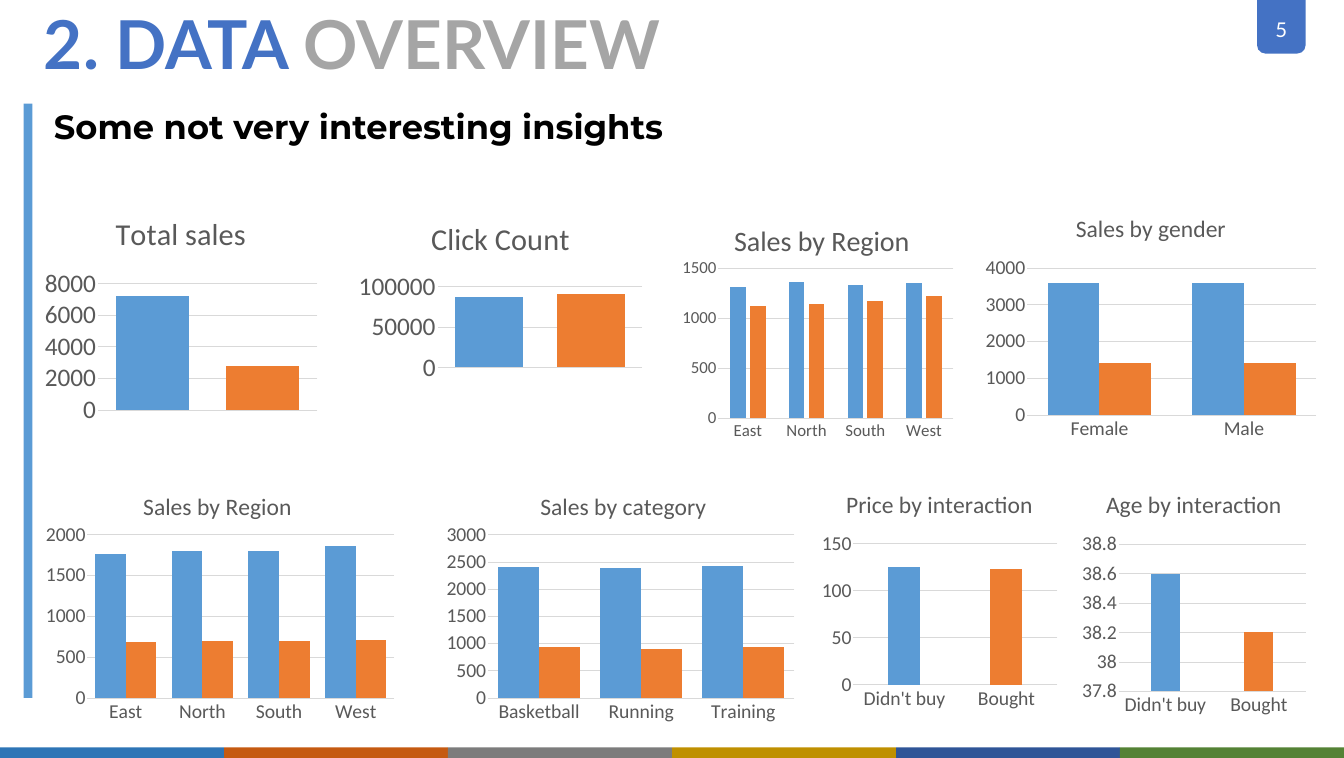
from typing import NamedTuple, Optional

from lxml.etree import SubElement
from pptx import Presentation
from pptx.chart.data import CategoryChartData
from pptx.dml.color import RGBColor
from pptx.enum.chart import XL_CHART_TYPE, XL_TICK_MARK
from pptx.enum.shapes import MSO_SHAPE
from pptx.enum.text import MSO_ANCHOR, MSO_AUTO_SIZE, PP_ALIGN
from pptx.oxml import parse_xml
from pptx.oxml.ns import nsdecls, qn
from pptx.util import Inches, Pt

SLIDE_W, SLIDE_H = 26.6, 15
BLUE = RGBColor(0x5B, 0x9B, 0xD5)
ORANGE = RGBColor(0xED, 0x7D, 0x31)
TITLE_BLUE = RGBColor(0x44, 0x72, 0xC4)
TITLE_GRAY = RGBColor(0xA5, 0xA5, 0xA5)
TEXT_GRAY = RGBColor(0x59, 0x59, 0x59)
GRID = RGBColor(0xD9, 0xD9, 0xD9)
BLACK = RGBColor(0, 0, 0)
WHITE = RGBColor(0xFF, 0xFF, 0xFF)
STRIPES = [RGBColor(0x2E, 0x75, 0xB6), RGBColor(0xC5, 0x5A, 0x11),
           RGBColor(0x7C, 0x7C, 0x7C), RGBColor(0xBF, 0x90, 0x00),
           RGBColor(0x2F, 0x55, 0x97), RGBColor(0x54, 0x82, 0x35)]
Box = tuple[float, float, float, float]


class Panel(NamedTuple):
    title: str
    at: Box
    plot: Box  # inner plot area, in slide inches
    cats: list[str]
    series: list[list[float]]
    scale: tuple[float, float, float]  # minimum, maximum, major unit
    gap: int = 50
    overlap: int = 0
    size: float = 28
    title_size: float = 33.6
    title_at: Optional[tuple[float, float]] = None  # left, top in slide inches
    show_cats: bool = True


REGIONS = ["East", "North", "South", "West"]
OUTCOMES = ["Didn't buy", "Bought"]
PANELS = [
    Panel("Total sales", (0.77, 3.97, 5.62, 4.54), (1.94, 5.61, 4.34, 2.5),
          ["1", "2"], [[7200, 2800]], (0, 8000, 2000), overlap=-49,
          size=36, title_size=43.2, show_cats=False),
    Panel("Click Count", (6.99, 4.07, 5.83, 3.59), (8.66, 5.67, 4.05, 1.6),
          ["1", "2"], [[87000, 91000]], (0, 100000, 50000), overlap=-27,
          size=36, title_size=43.2, show_cats=False),
    Panel("Sales by Region", (13.39, 4.09, 5.58, 4.73), (14.22, 5.3, 4.65, 2.98),
          REGIONS, [[1310, 1360, 1330, 1350], [1120, 1140, 1170, 1220]],
          (0, 1500, 500), gap=150, overlap=-27, size=24, title_size=40,
          title_at=(14.43, 4.29)),
    Panel("Sales by gender", (19.37, 3.97, 6.82, 4.86), (20.33, 5.3, 5.72, 2.91),
          ["Female", "Male"], [[3600, 3600], [1400, 1400]],
          (0, 4000, 1000), gap=80),
    Panel("Sales by Region", (0.77, 9.42, 7.17, 5.01), (1.73, 10.58, 6.07, 3.23),
          REGIONS, [[1760, 1800, 1800, 1860], [680, 690, 700, 710]],
          (0, 2000, 500), title_at=(2.75, 9.62)),
    Panel("Sales by category", (8.69, 9.42, 7.17, 5.01), (9.66, 10.58, 6.06, 3.23),
          ["Basketball", "Running", "Training"],
          [[2400, 2390, 2430], [930, 900, 940]], (0, 3000, 500),
          title_at=(10.61, 9.62)),
    Panel("Price by interaction", (16.16, 9.42, 4.87, 4.73), (16.89, 10.76, 4.04, 2.79),
          OUTCOMES, [[125, 123]], (0, 150, 50), gap=219, overlap=-27),
    Panel("Age by interaction", (21.32, 9.43, 4.62, 4.86), (22.14, 10.77, 3.7, 2.91),
          OUTCOMES, [[38.6, 38.2]], (37.8, 38.8, 0.2), gap=219, overlap=-27),
]


def inches(box: Box) -> list[int]:
    return [Inches(v) for v in box]


def style_font(font, size: float, color: RGBColor, name: str = "Calibri",
               bold: bool = False) -> None:
    font.size, font.name, font.bold = Pt(size), name, bold
    font.color.rgb = color


def add_run(p, text: str, *, size: float, color: RGBColor, font: str,
            bold: bool = False) -> None:
    r = p.add_run()
    r.text = text
    style_font(r.font, size, color, font, bold)


def add_block(slide, box: Box, color: RGBColor, kind=MSO_SHAPE.RECTANGLE):
    s = slide.shapes.add_shape(kind, *inches(box))
    s.shadow.inherit = False
    s.fill.solid()
    s.fill.fore_color.rgb = color
    s.line.fill.background()
    return s


def set_layout(parent, index: int, values: dict[str, object]) -> None:
    """Give a chart part a manual layout, as its child at the index."""
    for old in parent.findall(qn("c:layout")):
        parent.remove(old)
    layout = parse_xml(f"<c:layout {nsdecls('c')}/>")
    manual = SubElement(layout, qn("c:manualLayout"))
    for tag, value in values.items():
        SubElement(manual, qn(f"c:{tag}")).set("val", str(value))
    parent.insert(index, layout)


def place_parts(chart, panel: Panel) -> None:
    """Pin the plot area, and the title if it has a place, in the frame."""
    left, top, width, height = panel.at
    x, y, w, h = panel.plot
    edges = {"xMode": "edge", "yMode": "edge"}
    c = chart._chartSpace.chart
    set_layout(c.plotArea, 0, {"layoutTarget": "inner", **edges,
                               "x": (x - left) / width, "y": (y - top) / height,
                               "w": w / width, "h": h / height})
    if panel.title_at:
        x, y = panel.title_at
        set_layout(c.find(qn("c:title")), 1,
                   {**edges, "x": (x - left) / width, "y": (y - top) / height})


def style_axis(axis, size: float, line: Optional[RGBColor] = None) -> None:
    axis.major_tick_mark = axis.minor_tick_mark = XL_TICK_MARK.NONE
    style_font(axis.tick_labels.font, size, TEXT_GRAY)
    if line is None:
        axis.format.line.fill.background()
    else:
        axis.format.line.color.rgb = line
        axis.format.line.width = Pt(0.75)


def add_panel(slide, panel: Panel) -> None:
    data = CategoryChartData()
    data.categories = panel.cats
    for i, values in enumerate(panel.series, 1):
        data.add_series(f"Series {i}", values)
    chart = slide.shapes.add_chart(XL_CHART_TYPE.COLUMN_CLUSTERED,
                                   *inches(panel.at), data).chart
    style_font(chart.font, panel.size, BLACK)
    chart.has_legend = False
    chart.has_title = True
    add_run(chart.chart_title.text_frame.paragraphs[0], panel.title,
            size=panel.title_size, color=TEXT_GRAY, font="Calibri")
    chart.chart_title.include_in_layout = False

    style_axis(chart.category_axis, panel.size, GRID)
    chart.category_axis.visible = panel.show_cats
    axis = chart.value_axis
    style_axis(axis, panel.size)
    axis.minimum_scale, axis.maximum_scale, axis.major_unit = panel.scale
    axis.major_gridlines.format.line.color.rgb = GRID
    axis.major_gridlines.format.line.width = Pt(0.75)

    plot = chart.plots[0]
    plot.vary_by_categories = False
    plot.gap_width, plot.overlap = panel.gap, panel.overlap
    series = list(plot.series)
    parts = series if len(series) > 1 else [series[0], series[0].points[1]]
    for part, color in zip(parts, (BLUE, ORANGE)):
        part.format.fill.solid()
        part.format.fill.fore_color.rgb = color
    place_parts(chart, panel)


def add_frame(slide) -> None:
    """Draw the footer stripes, the page tab and the side bar."""
    width = SLIDE_W / len(STRIPES)
    for i, color in enumerate(STRIPES):
        add_block(slide, (i * width, 14.79, width, 0.26), color)
    tab = add_block(slide, (24.88, 0, 0.96, 1.06), TITLE_BLUE,
                    MSO_SHAPE.ROUND_2_SAME_RECTANGLE)
    tab.adjustments[0], tab.adjustments[1] = 0, 0.17
    tf = tab.text_frame
    tf.margin_left = tf.margin_right = tf.margin_bottom = 0
    tf.margin_top = Inches(0.16)
    tf.vertical_anchor = MSO_ANCHOR.MIDDLE
    p = tf.paragraphs[0]
    p.alignment = PP_ALIGN.CENTER
    add_run(p, "5", size=29, color=WHITE, font="Lato")
    add_block(slide, (0.47, 2.05, 0.17, 11.76), BLUE)


def add_headings(slide) -> None:
    title = slide.shapes.title
    title.left, title.top, title.width, title.height = inches((0.77, -0.02, 17.33, 1.72))
    tf = title.text_frame
    tf.auto_size = MSO_AUTO_SIZE.NONE
    tf.vertical_anchor = MSO_ANCHOR.MIDDLE
    p = tf.paragraphs[0]
    p.alignment = PP_ALIGN.LEFT
    add_run(p, "2. DATA ", size=96, color=TITLE_BLUE, font="Lato", bold=True)
    add_run(p, "OVERVIEW", size=96, color=TITLE_GRAY, font="Lato", bold=True)
    tf = slide.shapes.add_textbox(*inches((0.97, 2.05, 12.85, 0.91))).text_frame
    tf.word_wrap = True
    add_run(tf.paragraphs[0], "Some not very interesting insights",
            size=48, color=BLACK, font="Montserrat", bold=True)


def main() -> None:
    prs = Presentation()
    prs.slide_width, prs.slide_height = Inches(SLIDE_W), Inches(SLIDE_H)
    slide = prs.slides.add_slide(prs.slide_layouts[5])
    add_frame(slide)
    add_headings(slide)
    for panel in PANELS:
        add_panel(slide, panel)
    prs.save("out.pptx")


if __name__ == "__main__":
    main()
